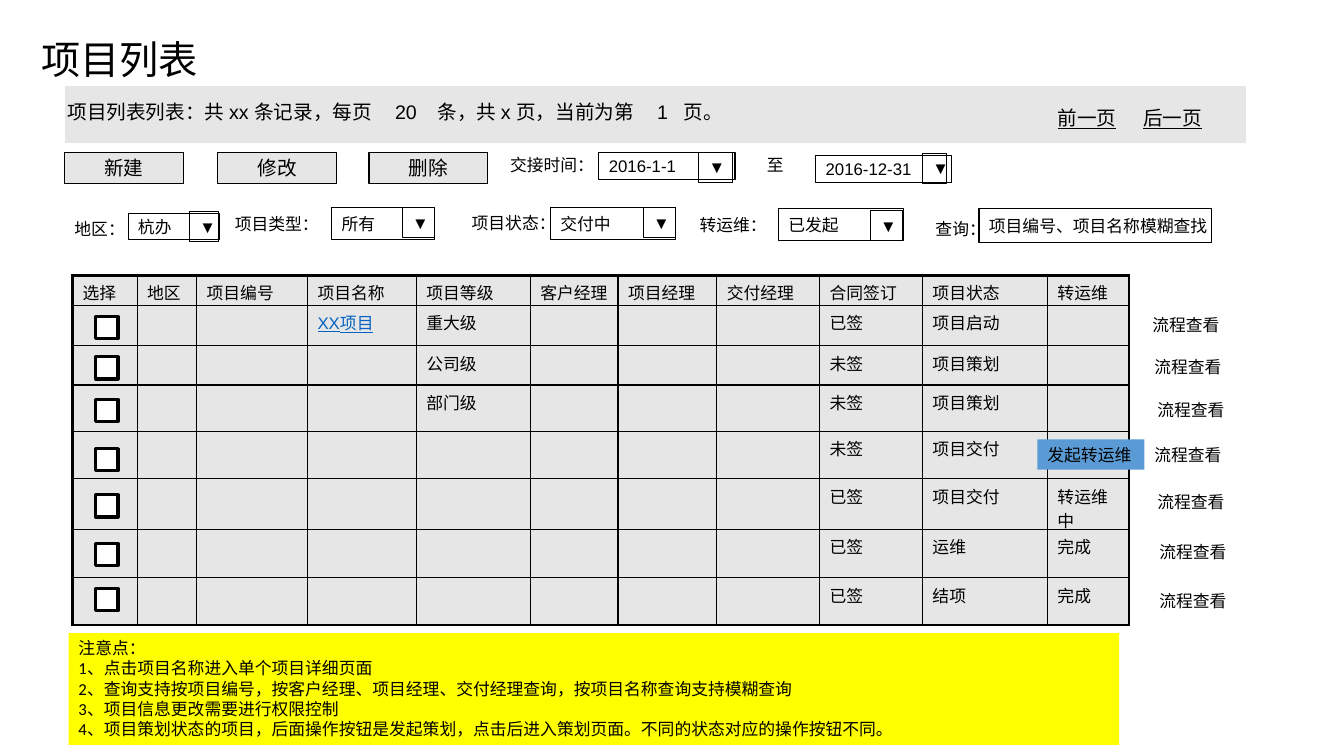
from dataclasses import dataclass
from typing import NamedTuple

from lxml.etree import SubElement
from pptx import Presentation
from pptx.dml.color import RGBColor
from pptx.enum.shapes import MSO_SHAPE
from pptx.enum.text import MSO_ANCHOR, PP_ALIGN
from pptx.oxml.ns import qn
from pptx.util import Inches, Pt


@dataclass(frozen=True)
class Theme:
    black: str = "000000"
    white: str = "FFFFFF"
    grey: str = "E7E6E6"
    yellow: str = "FFFF00"
    blue: str = "5B9BD5"
    link: str = "0563C1"
    sans: str = "Arial"
    body: str = "Calibri"
    title: float = 28
    large: float = 14
    small: float = 12
    thin: float = 0.75
    grid: float = 1
    thick: float = 2.25


class Box(NamedTuple):
    x: float
    y: float
    w: float
    h: float


class Label(NamedTuple):
    text: str
    box: Box


class Dropdown(NamedTuple):
    value: str
    box: Box
    arrow: Box


T = Theme()


def write(tf, text: str, *, size: float = T.small, font: str = T.sans, color: str = T.black,
          underline: bool = False, align=PP_ALIGN.LEFT, anchor=MSO_ANCHOR.TOP,
          wrap: bool = True, tabs: tuple = ()) -> None:
    """Fill a text frame, one paragraph per line of text."""
    tf.word_wrap = wrap
    tf.vertical_anchor = anchor
    for i, line in enumerate(text.split("\n")):
        p = tf.paragraphs[0] if i == 0 else tf.add_paragraph()
        p.alignment = align
        if tabs:
            stops = SubElement(p._p.get_or_add_pPr(), qn("a:tabLst"))
            for pos in tabs:
                SubElement(stops, qn("a:tab"), pos=str(Inches(pos)), algn="l")
        r = p.add_run()
        r.text = line
        r.font.size = Pt(size)
        r.font.name = font
        r.font.underline = underline
        r.font.color.rgb = RGBColor.from_string(color)


def add_text(s, text: str, box: Box, **fmt) -> None:
    """Add a plain text box."""
    write(s.shapes.add_textbox(*map(Inches, box)).text_frame, text, **fmt)


def add_rect(s, box: Box, text: str = "", *, fill: str = "", line: str = "",
             width: float = T.thin, **fmt) -> None:
    """Add a rectangle with optional fill, outline and text."""
    sp = s.shapes.add_shape(MSO_SHAPE.RECTANGLE, *map(Inches, box))
    sp.shadow.inherit = False
    if fill:
        sp.fill.solid()
        sp.fill.fore_color.rgb = RGBColor.from_string(fill)
    else:
        sp.fill.background()
    if line:
        sp.line.color.rgb = RGBColor.from_string(line)
        sp.line.width = Pt(width)
    else:
        sp.line.fill.background()
    if text:
        write(sp.text_frame, text, **fmt)


def add_field(s, value: str, box: Box) -> None:
    """Add a white input field."""
    add_rect(s, box, value, fill=T.white, line=T.black, anchor=MSO_ANCHOR.MIDDLE, wrap=False)


def add_dropdown(s, d: Dropdown) -> None:
    """Add an input field with its arrow button."""
    add_field(s, d.value, d.box)
    add_rect(s, d.arrow, "▼", line=T.black)


def style_cell(cell, edges: dict) -> None:
    """Fill a cell and draw its borders."""
    tcPr = cell._tc.get_or_add_tcPr()
    for tag, outer in edges.items():
        ln = SubElement(tcPr, qn(f"a:{tag}"), w=str(Pt(T.thick if outer else T.grid)))
        SubElement(SubElement(ln, qn("a:solidFill")), qn("a:srgbClr"), val=T.black)
    cell.fill.solid()
    cell.fill.fore_color.rgb = RGBColor.from_string(T.grey)


def add_project_table(s, x: float, y: float, cols: list, heights: list, rows: list) -> None:
    """Add the project table with a heavy outer frame."""
    table = s.shapes.add_table(len(rows), len(cols), Inches(x), Inches(y),
                               Inches(sum(cols)), Inches(sum(heights))).table
    for c, w in enumerate(cols):
        table.columns[c].width = Inches(w)
    for i, (height, row) in enumerate(zip(heights, rows)):
        table.rows[i].height = Inches(height)
        for j, text in enumerate(row):
            cell = table.cell(i, j)
            style_cell(cell, {"lnL": j == 0, "lnR": j == len(cols) - 1,
                              "lnT": i == 0, "lnB": i == len(rows) - 1})
            if text:
                linked = text.startswith("XX")
                write(cell.text_frame, text, underline=linked,
                      color=T.link if linked else T.black,
                      font=T.body if i and j == CONTRACT else T.sans)
            else:
                p = cell.text_frame.paragraphs[0]._p
                SubElement(p, qn("a:endParaRPr"), sz=str(T.small * 100))


HEADER = ["选择", "地区", "项目编号", "项目名称", "项目等级", "客户经理",
          "项目经理", "交付经理", "合同签订", "项目状态", "转运维"]
CONTRACT = HEADER.index("合同签订")
PROJECTS = [("XX项目", "重大级", "已签", "项目启动", ""),
            ("", "公司级", "未签", "项目策划", ""),
            ("", "部门级", "未签", "项目策划", ""),
            ("", "", "未签", "项目交付", ""),
            ("", "", "已签", "项目交付", "转运维中"),
            ("", "", "已签", "运维", "完成"),
            ("", "", "已签", "结项", "完成")]
ROWS = [HEADER] + [["", "", "", name, level, "", "", "", *rest] for name, level, *rest in PROJECTS]
COLS = [0.64, 0.59, 1.1, 1.08, 1.13, 0.87, 0.98, 1.02, 1.02, 1.24, 0.81]
HEIGHTS = [0.3, 0.4, 0.39, 0.46, 0.47, 0.5, 0.48, 0.47]
CHECK_TOPS = [3.14, 3.54, 3.96, 4.45, 4.91, 5.39, 5.84]
FLOW_SPOTS = [(11.33, 3.07), (11.35, 3.49), (11.38, 3.92), (11.35, 4.36),
              (11.38, 4.83), (11.4, 5.33), (11.4, 5.81)]
BUTTONS = [("新建", 0.64), ("修改", 2.16), ("删除", 3.66)]
LABELS = [Label("交接时间：", Box(4.96, 1.49, 0.92, 0.3)),
          Label(" 至", Box(7.47, 1.49, 0.45, 0.3)),
          Label("地区：", Box(0.64, 2.12, 1.49, 0.3)),
          Label("项目类型：", Box(2.23, 2.07, 1.05, 0.3)),
          Label("项目状态：", Box(4.58, 2.06, 1.18, 0.3)),
          Label("转运维：", Box(6.84, 2.08, 1.18, 0.3)),
          Label("查询：", Box(9.18, 2.12, 0.65, 0.3))]
DROPDOWNS = [Dropdown("2016-1-1", Box(5.94, 1.51, 1.35, 0.27), Box(6.93, 1.51, 0.34, 0.3)),
             Dropdown("2016-12-31", Box(8.09, 1.54, 1.35, 0.27), Box(9.15, 1.52, 0.24, 0.3)),
             Dropdown("杭办", Box(1.27, 2.12, 0.91, 0.26), Box(1.88, 2.1, 0.29, 0.3)),
             Dropdown("所有", Box(3.29, 2.06, 1.02, 0.32), Box(3.99, 2.06, 0.32, 0.3)),
             Dropdown("交付中", Box(5.46, 2.06, 1.24, 0.32), Box(6.38, 2.06, 0.32, 0.3)),
             Dropdown("已发起", Box(7.72, 2.07, 1.24, 0.32), Box(8.63, 2.09, 0.32, 0.3))]
NOTES = "\n".join([
    "注意点：",
    "1、点击项目名称进入单个项目详细页面",
    "2、查询支持按项目编号，按客户经理、项目经理、交付经理查询，按项目名称查询支持模糊查询",
    "3、项目信息更改需要进行权限控制",
    "4、项目策划状态的项目，后面操作按钮是发起策划，点击后进入策划页面。不同的状态对应的操作按钮不同。"])


def main() -> None:
    """Build the project list slide."""
    prs = Presentation()
    prs.slide_width, prs.slide_height = Inches(13.33), Inches(7.5)
    s = prs.slides.add_slide(prs.slide_layouts[6])

    add_text(s, "项目列表", Box(0.31, 0.19, 4.24, 0.78), size=T.title, font=T.body,
             anchor=MSO_ANCHOR.MIDDLE)
    add_rect(s, Box(0.65, 0.86, 11.7, 0.55), fill=T.grey, line=T.grey)
    add_text(s, "项目列表列表：共 xx 条记录，每页\t20\t条，共 x 页，当前为第\t1\t页。",
             Box(0.57, 0.94, 8.58, 0.33), size=T.large, tabs=(3.25, 3.67, 5.85, 6.11))
    for text, x in [("前一页", 10.39), ("后一页", 11.24)]:
        add_text(s, text, Box(x, 1, 0.85, 0.33), size=T.large, underline=True)

    for text, x in BUTTONS:
        add_rect(s, Box(x, 1.51, 1.18, 0.31), text, fill=T.grey, line=T.black, size=T.large,
                 align=PP_ALIGN.CENTER, anchor=MSO_ANCHOR.MIDDLE, wrap=False)
    for label in LABELS:
        add_text(s, label.text, label.box)
    for dropdown in DROPDOWNS:
        add_dropdown(s, dropdown)
    add_field(s, "项目编号、项目名称模糊查找", Box(9.71, 2.07, 2.31, 0.34))

    add_project_table(s, 0.72, 2.73, COLS, HEIGHTS, ROWS)
    for y in CHECK_TOPS:
        add_rect(s, Box(0.95, y, 0.22, 0.22), fill=T.white, line=T.black, width=T.thick)
    for x, y in FLOW_SPOTS:
        add_text(s, "流程查看", Box(x, y, 0.88, 0.3), font=T.body)
    add_rect(s, Box(10.29, 4.36, 1.06, 0.3), "发起转运维", fill=T.blue, font=T.body)
    add_rect(s, Box(0.68, 6.28, 10.42, 1.11), NOTES, fill=T.yellow, font=T.body)
    prs.save("out.pptx")


main()
